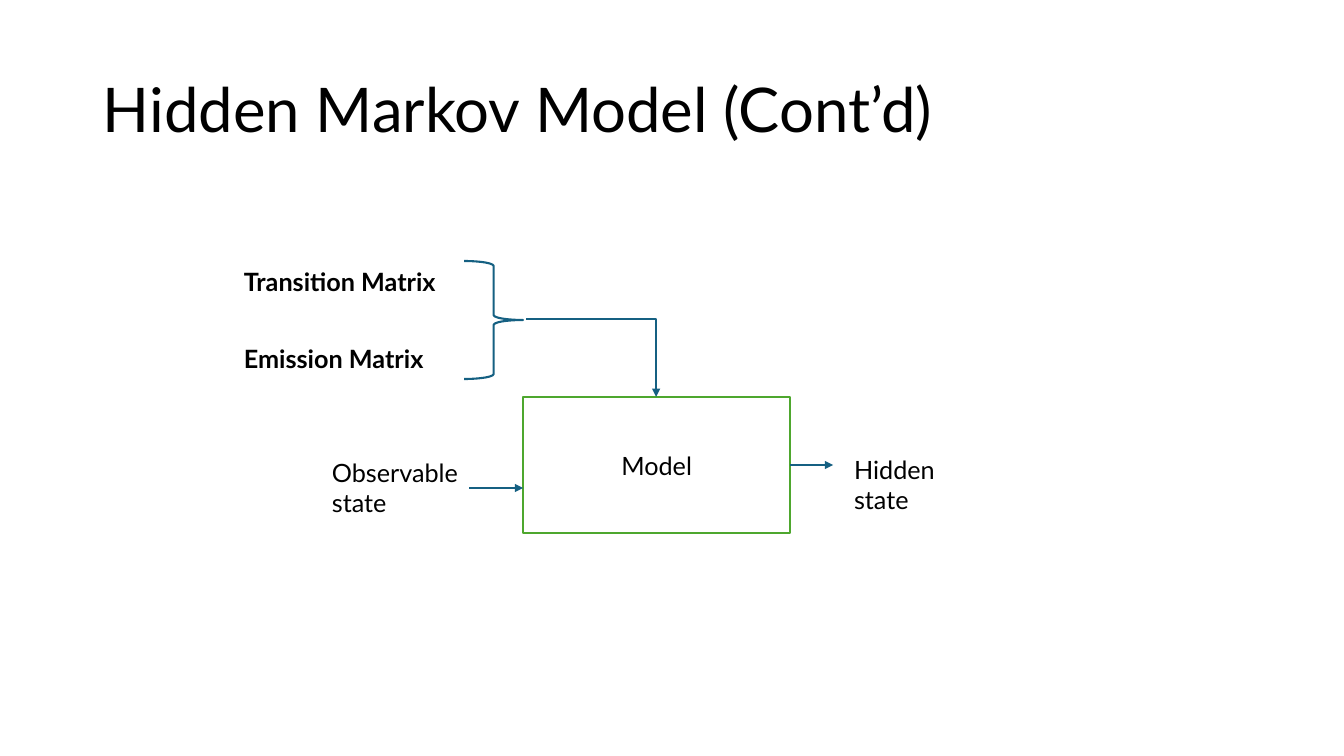
from pptx import Presentation
from pptx.dml.color import RGBColor
from pptx.enum.shapes import MSO_CONNECTOR, MSO_SHAPE
from pptx.enum.text import MSO_ANCHOR, PP_ALIGN
from pptx.oxml.ns import qn
from pptx.util import Emu, Inches, Pt
from lxml.etree import SubElement

BLACK, WHITE, BLUE, GREEN = "000000", "FFFFFF", "156082", "4EA72E"


def px(length):
    return Emu(round(length * 914400 / 100.8))


def color(value):
    return RGBColor.from_string(value)


deck = Presentation()
deck.slide_width = Inches(13.33)
deck.slide_height = Inches(7.5)
page = deck.slides.add_slide(deck.slide_layouts[6])

model = page.shapes.add_shape(MSO_SHAPE.RECTANGLE, px(523), px(397), px(267), px(136))
model.fill.solid()
model.fill.fore_color.rgb = color(WHITE)
brace = page.shapes.add_shape(MSO_SHAPE.RIGHT_BRACE, px(464), px(261), px(59), px(118))
brace.fill.background()
for shape, line_color in ((model, GREEN), (brace, BLUE)):
    shape.shadow.inherit = False
    shape.line.color.rgb = color(line_color)
    shape.line.width = Pt(1.5)

labels = {}
for text, left, top, width, height, size, bold, wrap in (
    ("Hidden Markov Model (Cont’d)", 93, 40, 1159, 146, 44, False, True),
    ("Transition Matrix", 234, 261, 212, 40, 18, True, False),
    ("Emission Matrix", 234, 338, 205, 40, 18, True, False),
    ("Observable\nstate", 322, 452, 147, 72, 18, False, False),
    ("Hidden state", 844, 449, 155, 72, 18, False, True),
    ("Model", None, None, None, None, 18, False, True),
):
    if text == "Model":
        box = model
    else:
        box = page.shapes.add_textbox(px(left), px(top), px(width), px(height))
    labels[text] = box
    box.text_frame.text = text
    box.text_frame.word_wrap = wrap
    for paragraph in box.text_frame.paragraphs:
        paragraph.font.name = "Lato"
        paragraph.font.size = Pt(size)
        paragraph.font.bold = bold
        paragraph.font.color.rgb = color(BLACK)

title = labels["Hidden Markov Model (Cont’d)"].text_frame
title.vertical_anchor = MSO_ANCHOR.MIDDLE
title.paragraphs[0].line_spacing = 0.9
model.text_frame.vertical_anchor = MSO_ANCHOR.MIDDLE
model.text_frame.paragraphs[0].alignment = PP_ALIGN.CENTER

arrows = []
for kind, start_x, start_y, end_x, end_y in (
    (MSO_CONNECTOR.ELBOW, 526, 319, 656, 397),
    (MSO_CONNECTOR.STRAIGHT, 469, 488, 523, 488),
    (MSO_CONNECTOR.STRAIGHT, 790, 465, 833, 465),
):
    arrow = page.shapes.add_connector(kind, px(start_x), px(start_y), px(end_x), px(end_y))
    arrow.line.color.rgb = color(BLUE)
    arrow.line.width = Pt(1.5)
    SubElement(arrow.line._get_or_add_ln(), qn("a:tailEnd"), type="triangle")
    SubElement(arrow._element.spPr, qn("a:effectLst"))
    arrows.append(arrow)

matrix_arrow, input_arrow, output_arrow = arrows
matrix_arrow._element.spPr.find(qn("a:prstGeom")).set("prst", "bentConnector2")
input_arrow.begin_connect(labels["Observable\nstate"], 3)
output_arrow.begin_connect(model, 3)

deck.save("out.pptx")
